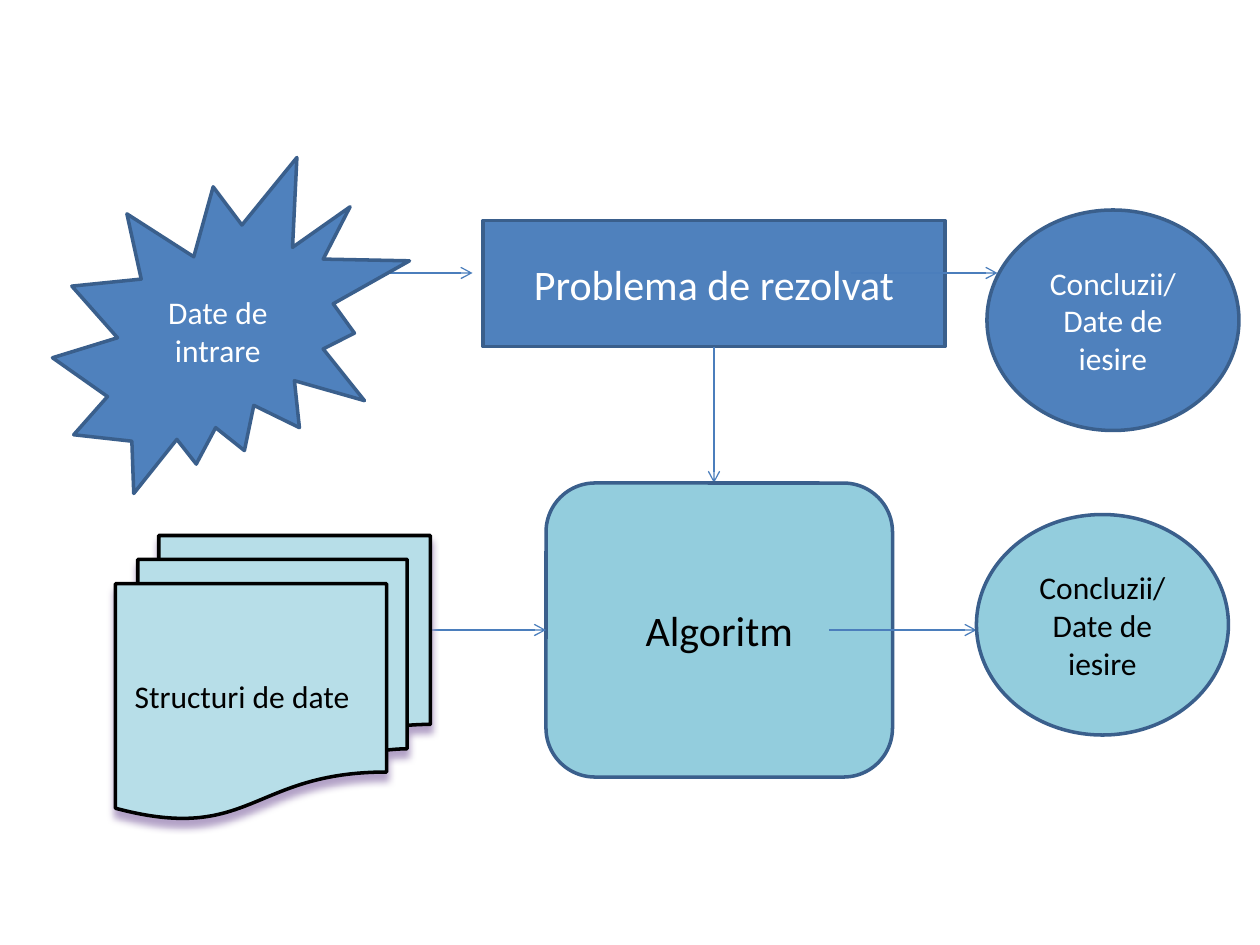
from collections import namedtuple
from dataclasses import dataclass

from lxml.etree import SubElement
from pptx import Presentation
from pptx.dml.color import RGBColor as RGB
from pptx.enum.shapes import MSO_CONNECTOR as CONN, MSO_SHAPE as SHAPE
from pptx.enum.text import MSO_ANCHOR as ANCHOR, PP_ALIGN as ALIGN
from pptx.oxml.ns import qn
from pptx.util import Inches, Pt

COLS, ROWS = 120, 90  # grid over the whole slide
Box = namedtuple("Box", "col row cols rows")
TOP, LEFT, BOTTOM, RIGHT = range(4)  # connection sites


@dataclass(frozen=True)
class Theme:
    font: str = "Calibri"
    large: int = 24
    normal: int = 18
    blue: str = "4F81BD"
    aqua: str = "93CDDD"
    pale: str = "B7DEE8"
    outline: str = "3A5F8C"
    arrow: str = "4B7EBC"
    shadow: str = "B3A2C7"
    white: str = "FFFFFF"
    black: str = "000000"
    outline_width: float = 2
    arrow_width: float = 0.75


THEME = Theme()


def rgb(value):
    return RGB.from_string(value)


def grid(value):
    """Grid units to a length: twelve units to the inch."""
    return Inches(value / 12)


def inside(box, col, row, cols, rows):
    return Box(box.col + col, box.row + row, cols, rows)


def add_node(s, kind, box, text, fill, color, size=THEME.normal, line=THEME.outline):
    sp = s.shapes.add_shape(kind, *map(grid, box))
    sp.shadow.inherit = False
    sp.fill.solid()
    sp.fill.fore_color.rgb = rgb(fill)
    sp.line.color.rgb = rgb(line)
    sp.line.width = Pt(THEME.outline_width)
    tf = sp.text_frame
    tf.word_wrap = True
    tf.vertical_anchor = ANCHOR.MIDDLE
    p = tf.paragraphs[0]
    p.alignment = ALIGN.CENTER
    r = p.add_run()
    r.text = text
    r.font.name = THEME.font
    r.font.size = Pt(size)
    r.font.color.rgb = rgb(color)
    return sp


def add_arrow(s, start, end):
    cx = s.shapes.add_connector(CONN.STRAIGHT, *map(grid, (*start, *end)))
    cx.line.color.rgb = rgb(THEME.arrow)
    cx.line.width = Pt(THEME.arrow_width)
    SubElement(cx.line._get_or_add_ln(), qn("a:tailEnd"), type="arrow")
    SubElement(cx._element.spPr, qn("a:effectLst"))
    return cx


def add_flow_arrow(s, box, col, row):
    """Horizontal arrow of the common length."""
    start = box.col + col, box.row + row
    return add_arrow(s, start, (start[0] + 14, start[1]))


def add_drop_shadow(sp):
    effects = sp._element.spPr.find(qn("a:effectLst"))
    shadow = SubElement(effects, qn("a:outerShdw"), blurRad=str(Pt(4)),
                        dist=str(Pt(4)), dir="5400000", rotWithShape="0")
    SubElement(shadow, qn("a:srgbClr"), val=THEME.shadow)


def problem_row(s, box):
    """Input data, problem and conclusions; returns the problem box."""
    t = THEME
    problem = add_node(s, SHAPE.RECTANGLE, inside(box, 41, 6, 44, 12),
                       "Problema de rezolvat", t.blue, t.white, t.large)
    add_flow_arrow(s, box, 26, 11)
    add_node(s, SHAPE.OVAL, inside(box, 89, 5, 24, 21),
             "Concluzii/ Date de iesire", t.blue, t.white)
    add_flow_arrow(s, box, 76, 11)
    add_node(s, SHAPE.EXPLOSION2, inside(box, 0, 0, 34, 32),
             "Date de intrare", t.blue, t.white)
    return problem


def algorithm_row(s, box):
    """Data structures, algorithm and conclusions."""
    t = THEME
    algorithm = add_node(s, SHAPE.ROUNDED_RECTANGLE, inside(box, 41, 0, 33, 28),
                         "Algoritm", t.aqua, t.black, t.large)
    add_flow_arrow(s, box, 68, 14)
    add_node(s, SHAPE.OVAL, inside(box, 82, 3, 24, 21),
             "Concluzii/ Date de iesire", t.aqua, t.black)
    add_flow_arrow(s, box, 27, 14).end_connect(algorithm, LEFT)
    structures = add_node(s, SHAPE.FLOWCHART_MULTIDOCUMENT, inside(box, 0, 5, 30, 27),
                          "Structuri de date", t.pale, t.black, line=t.black)
    structures.text_frame.margin_right = Inches(0.24)
    add_drop_shadow(structures)


def main():
    prs = Presentation()
    prs.slide_width, prs.slide_height = grid(COLS), grid(ROWS)
    s = prs.slides.add_slide(prs.slide_layouts[6])

    # Upper row, the step down, then the lower row
    problem = problem_row(s, Box(5, 15, 113, 32))
    add_arrow(s, (68, 33), (68, 46)).begin_connect(problem, BOTTOM)
    algorithm_row(s, Box(11, 46, 106, 32))

    prs.save("out.pptx")


if __name__ == "__main__":
    main()
